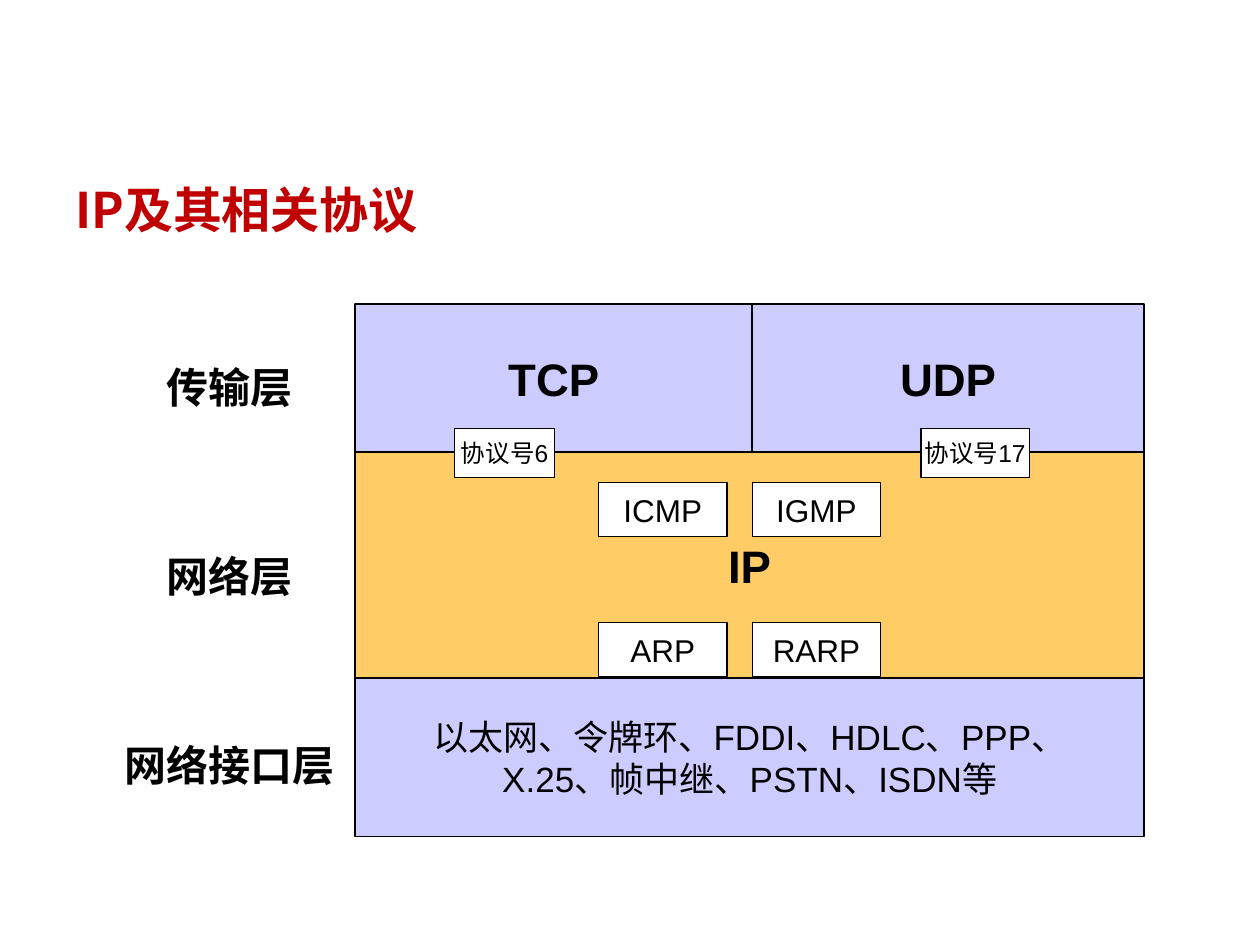
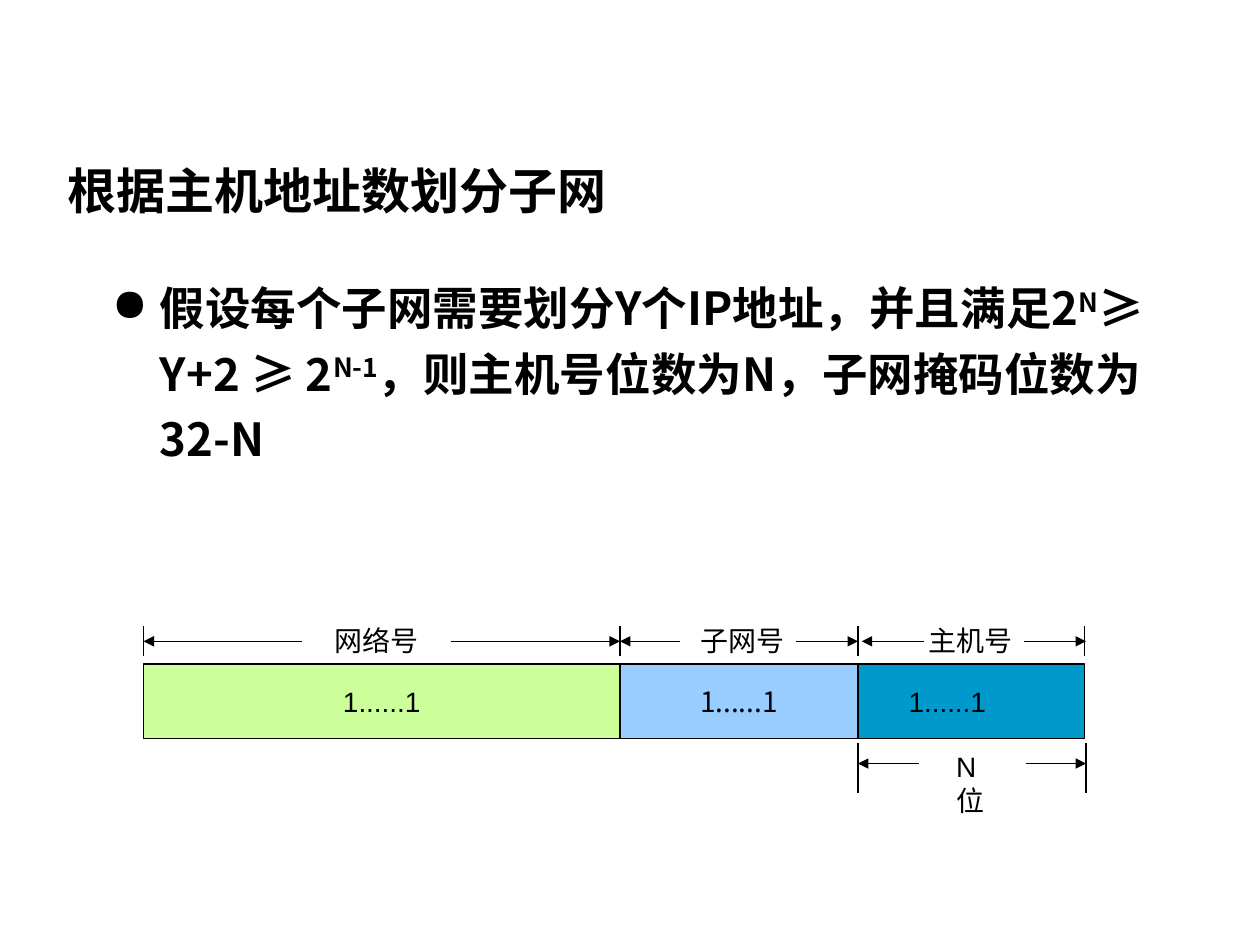
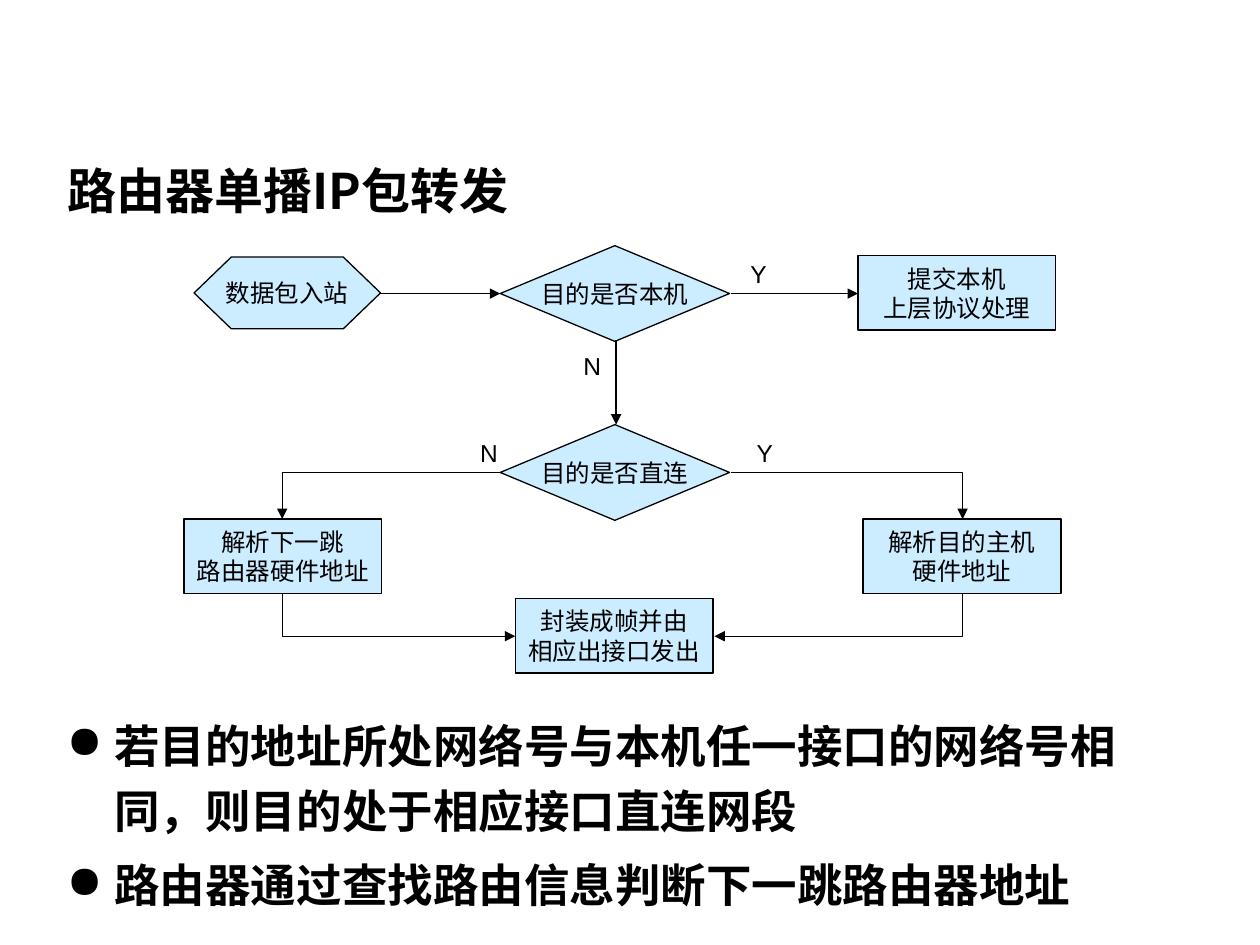
from lxml import etree
from pptx import Presentation
from pptx.dml.color import RGBColor
from pptx.enum.shapes import MSO_CONNECTOR, MSO_SHAPE
from pptx.enum.text import MSO_ANCHOR, PP_ALIGN
from pptx.oxml.ns import qn
from pptx.util import Pt

SCALE = 9144  # EMU per px, 100 px to the inch
PAGE_WIDTH, PAGE_HEIGHT = 1000, 750

STRAIGHT, ELBOW = MSO_CONNECTOR.STRAIGHT, MSO_CONNECTOR.ELBOW
RECT = MSO_SHAPE.RECTANGLE
DECISION = MSO_SHAPE.FLOWCHART_DECISION
PREPARATION = MSO_SHAPE.FLOWCHART_PREPARATION
PROCESS = MSO_SHAPE.FLOWCHART_PROCESS
LEFT, CENTER = PP_ALIGN.LEFT, PP_ALIGN.CENTER
TOP, MIDDLE = MSO_ANCHOR.TOP, MSO_ANCHOR.MIDDLE

BLACK, WHITE, RED = "000000", "FFFFFF", "C00000"
LILAC, ORANGE = "CCCCFF", "FFCC66"
GREEN, SKY, TEAL = "CCFF99", "99CCFF", "0099CC"
PALE_BLUE = "CCECFF"

LATIN_FONT = "Arial"
TITLE_FONT = "Noto Sans CJK JP"
BODY_FONT = "Noto Sans CJK SC"


def px(length):
    return int(length * SCALE)


def color(value):
    return RGBColor.from_string(value)


# Text helpers
def add_span(para, text, size, font=LATIN_FONT, bold=False, ink=BLACK, raised=False):
    span = para.add_run()
    span.text = text
    span.font.size = Pt(size)
    span.font.name = font
    span.font.bold = bold
    span.font.color.rgb = color(ink)
    props = span._r.get_or_add_rPr()
    east_asian = BODY_FONT if font == LATIN_FONT else font
    etree.SubElement(props, qn("a:ea")).set("typeface", east_asian)
    if raised:
        props.set("baseline", "30000")


def fill_text(frame, lines, size, align=CENTER, anchor=MIDDLE, wrap=False, **style):
    frame.word_wrap = wrap
    frame.vertical_anchor = anchor
    for index, line in enumerate(lines):
        para = frame.paragraphs[0] if index == 0 else frame.add_paragraph()
        para.alignment = align
        add_span(para, line, size, **style)


def add_text(page, box, text, size, **style):
    label = page.shapes.add_textbox(*map(px, box))
    fill_text(label.text_frame, [text], size, **style)


def add_title(page, left, top, text, ink=BLACK):
    add_text(page, (left, top, 861, 71), text, 28, align=LEFT, wrap=True,
             font=TITLE_FONT, bold=True, ink=ink)


def add_bullets(page, box, bullets):
    """Each bullet is a list of (text, raised) pairs."""
    frame = page.shapes.add_textbox(*map(px, box)).text_frame
    frame.word_wrap = True
    for index, bullet in enumerate(bullets):
        para = frame.paragraphs[0] if index == 0 else frame.add_paragraph()
        para.line_spacing = 1.2
        para.space_before = Pt(5)
        props = para._p.get_or_add_pPr()
        props.set("marL", str(px(38)))
        props.set("indent", str(-px(38)))
        etree.SubElement(props, qn("a:buChar")).set("char", "●")
        for text, raised in bullet:
            add_span(para, text, 26, font=BODY_FONT, bold=True, raised=raised)


# Shape helpers
def add_box(page, box, lines, size, fill, kind=RECT, line=0.75, **style):
    shape = page.shapes.add_shape(kind, *map(px, box))
    shape.shadow.inherit = False
    shape.fill.solid()
    shape.fill.fore_color.rgb = color(fill)
    if line:
        shape.line.color.rgb = color(BLACK)
        shape.line.width = Pt(line)
    else:
        shape.line.fill.background()
    fill_text(shape.text_frame, lines, size, **style)
    return shape


def add_line(page, start, end, arrow=None, kind=STRAIGHT):
    """Arrow is None, "head" (at start) or "tail" (at end); elbows leave sideways."""
    line = page.shapes.add_connector(kind, *map(px, start + end))
    line.line.color.rgb = color(BLACK)
    line.line.width = Pt(0.75)
    props = line._element.spPr
    if kind == ELBOW:
        props.find(qn("a:prstGeom")).set("prst", "bentConnector2")
    if arrow:
        tip = etree.SubElement(props.find(qn("a:ln")), qn(f"a:{arrow}End"))
        tip.set("type", "triangle")
    etree.SubElement(props, qn("a:effectLst"))


# Slide 1: protocol stack
def draw_stack(page, left, top):
    def cell(x, y, width, height, lines, size, fill, **style):
        add_box(page, (left + x, top + y, width, height), lines, size, fill, **style)

    # Layers
    cell(315, 0, 311, 119, ["UDP"], 26, LILAC, line=1, bold=True)
    cell(0, 0, 315, 119, ["TCP"], 26, LILAC, line=1, bold=True)
    cell(0, 118, 626, 180, ["IP"], 26, ORANGE, line=1, bold=True)
    cell(0, 297, 626, 126,
         ["以太网、令牌环、FDDI、HDLC、PPP、", "X.25、帧中继、PSTN、ISDN等"],
         20, LILAC, line=1)

    # Protocol numbers
    cell(79, 99, 79, 39, ["协议号6"], 14, WHITE)
    cell(449, 99, 86, 39, ["协议号17"], 14, WHITE)

    # Helper protocols
    for row, names in enumerate((("ICMP", "IGMP"), ("ARP", "RARP"))):
        for column, name in enumerate(names):
            cell(193 + 122 * column, 142 + 111 * row, 102, 43, [name], 18, WHITE)

    # Layer names
    for row, name in enumerate(("传输层", "网络层", "网络接口层")):
        cell(-194, 51 + 150 * row, 189, 30, [name], 24, WHITE, line=None, bold=True)


# Slide 2: address split into fields
def draw_span_arrows(page, y, start, end, reach_left, reach_right):
    add_line(page, (start, y), (start + reach_left, y), "head")
    add_line(page, (end - reach_right, y), (end, y), "tail")


def draw_address(page, left, top):
    # Fields
    fields = (
        (0, 378, GREEN, LATIN_FONT),
        (378, 189, SKY, BODY_FONT),
        (567, 180, TEAL, LATIN_FONT),
    )
    for x, width, fill, font in fields:
        field = add_box(page, (left + x, top, width, 59), ["1......1"], 16, fill, font=font)
    field.text_frame.margin_right = px(48)

    # Dimensions above
    for x in (0, 378, 567, 747):
        add_line(page, (left + x, top - 30), (left + x, top - 6))
    spans = (
        (0, 378, 126, 134, "网络号", 142),
        (378, 567, 48, 49, "子网号", 432),
        (570, 748, 49, 49, "主机号", 613),
    )
    for start, end, reach_left, reach_right, name, x in spans:
        draw_span_arrows(page, top - 18, left + start, left + end, reach_left, reach_right)
        add_text(page, (left + x, top - 37, 87, 37), name, 16, align=LEFT, anchor=TOP)

    # Host width below
    for x in (567, 748):
        add_line(page, (left + x, top + 63), (left + x, top + 102))
    draw_span_arrows(page, top + 79, left + 567, left + 748, 48, 48)
    add_text(page, (left + 635, top + 63, 55, 60), "N位", 16,
             align=LEFT, anchor=TOP, wrap=True)


# Slide 3: forwarding flow chart
def draw_flow(page, left, top):
    def at(x, y):
        return left + x, top + y

    # Steps
    sizes = {DECISION: (182, 76), PREPARATION: (148, 57), PROCESS: (157, 59)}
    steps = (
        (DECISION, 251, 0, ["目的是否本机"]),
        (PREPARATION, 8, 9, ["数据包入站"]),
        (DECISION, 251, 142, ["目的是否直连"]),
        (PROCESS, 0, 217, ["解析下一跳", "路由器硬件地址"]),
        (PROCESS, 539, 217, ["解析目的主机", "硬件地址"]),
        (PROCESS, 263, 280, ["封装成帧并由", "相应出接口发出"]),
        (PROCESS, 535, 8, ["提交本机", "上层协议处理"]),
    )
    for kind, x, y, lines in steps:
        add_box(page, at(x, y) + sizes[kind], lines, 14, PALE_BLUE, kind=kind)

    # Links
    links = (
        ((343, 75), (343, 142), "tail", STRAIGHT),
        ((434, 38), (535, 38), "tail", STRAIGHT),
        ((155, 38), (251, 38), "tail", STRAIGHT),
        ((251, 180), (78, 217), "tail", ELBOW),
        ((434, 180), (618, 217), "tail", ELBOW),
        ((263, 310), (78, 276), "head", ELBOW),
        ((421, 310), (618, 276), "head", ELBOW),
    )
    for start, end, arrow, kind in links:
        add_line(page, at(*start), at(*end), arrow, kind)

    # Answers
    for answer, x, y in (("Y", 437, 6), ("N", 305, 79), ("Y", 442, 148), ("N", 223, 148)):
        add_text(page, at(x, y) + (38, 33), answer, 14, anchor=TOP, wrap=True)


def main():
    deck = Presentation()
    deck.slide_width, deck.slide_height = px(PAGE_WIDTH), px(PAGE_HEIGHT)
    blank = deck.slide_layouts[6]

    page = deck.slides.add_slide(blank)
    add_title(page, 50, 130, "IP及其相关协议", RED)
    draw_stack(page, 282, 241)

    page = deck.slides.add_slide(blank)
    add_title(page, 44, 115, "根据主机地址数划分子网")
    add_bullets(page, (79, 209, 874, 189), [[
        ("假设每个子网需要划分Y个IP地址，并且满足2", False),
        ("N", True),
        ("≥ Y+2 ≥ 2", False),
        ("N-1", True),
        ("，则主机号位数为N，子网掩码位数为32-N", False),
    ]])
    draw_address(page, 114, 527)

    page = deck.slides.add_slide(blank)
    add_title(page, 44, 115, "路由器单播IP包转发")
    draw_flow(page, 146, 195)
    add_bullets(page, (43, 556, 862, 213), [
        [("若目的地址所处网络号与本机任一接口的网络号相同，则目的处于相应接口直连网段", False)],
        [("路由器通过查找路由信息判断下一跳路由器地址", False)],
    ])

    deck.save("out.pptx")


if __name__ == "__main__":
    main()
